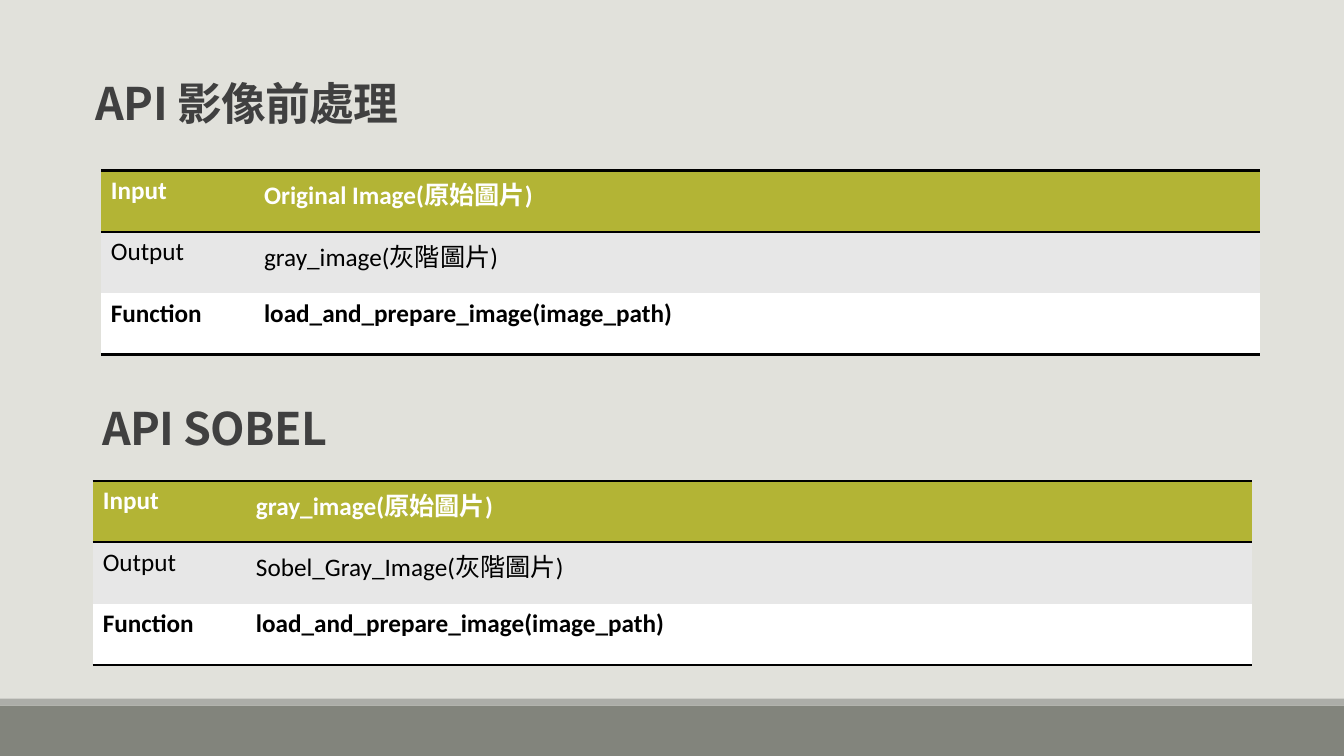
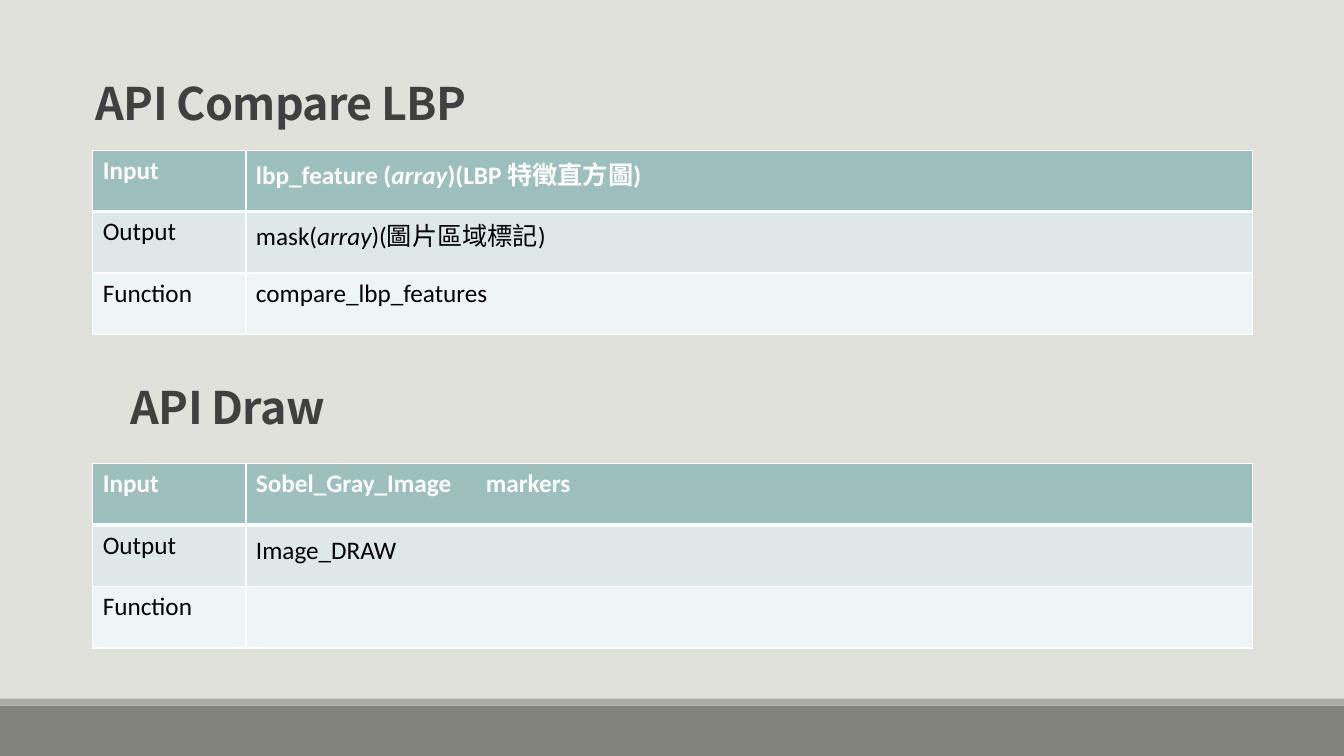
import lxml.etree
import pptx
import pptx.dml.color
import pptx.enum.shapes
import pptx.enum.text
import pptx.oxml.ns
import pptx.util

COLOURS = {
    "background": "E1E1DB", "band": "82847C", "band edge": "ACADA8",
    "heading": "404040", "black": "000000", "white": "FFFFFF",
    "olive": "B3B435", "grey": "E7E7E7",
    "teal": "9DBFBE", "pale teal": "DFE8E8", "paler teal": "EFF4F4",
}
HEADING = dict(size=32, font="Noto Sans CJK SC", colour="heading", bold=True,
               line_spacing=0.85, tracking=-50, anchor=pptx.enum.text.MSO_ANCHOR.BOTTOM)
LABELS = ["Input", "Output", "Function"]
LABEL_COLUMN, VALUE_COLUMN, TABLE_ROW = 11.4, 74.87, 8.13  # percent of the slide
TABLE_WIDTH = LABEL_COLUMN + VALUE_COLUMN

# Rules are (colour, points): row_rules run from the top edge to the bottom edge.
OLIVE_STYLE = dict(
    fills=["olive", "grey", "white"], bold_rows=[0, 2], side_rule=None,
    row_rules=[("black", 2), ("black", 2), None, ("black", 2)])
TEAL_STYLE = dict(
    fills=["teal", "pale teal", "paler teal"], bold_rows=[0], side_rule=("white", 1),
    row_rules=[("white", 1), ("white", 3), ("white", 1), ("white", 1)])

# Boxes are left, top, width, height in percent of the slide.
TITLE_BOX = (6.38, 7.2, TABLE_WIDTH, 10.67)
SLIDES = [
    (OLIVE_STYLE, [
        ("API 影像前處理", TITLE_BOX, (7.5, 22.53),
         ["Original Image(原始圖片)", "gray_image(灰階圖片)",
          "load_and_prepare_image(image_path)"]),
        ("API SOBEL", (6.9, 49.73, 22.13, 11.07), (6.9, 63.6),
         ["gray_image(原始圖片)", "Sobel_Gray_Image(灰階圖片)",
          "load_and_prepare_image(image_path)"]),
    ]),
    (TEAL_STYLE, [
        ("API Compare LBP", TITLE_BOX, (6.9, 19.87),
         ["lbp_feature (*array*)(LBP 特徵直方圖)", "mask(*array*)(圖片區域標記)",
          "compare_lbp_features"]),
        ("API Draw", (9, 47.73, 18.98, 10.27), (6.9, 61.33),
         ["Sobel_Gray_Image\tmarkers", "Image_DRAW　", ""]),
    ]),
]

deck = pptx.Presentation()
deck.slide_width = pptx.util.Inches(13.33)
deck.slide_height = pptx.util.Inches(7.5)


def place(left, top, width, height):
    """Turn percentages of the slide into lengths."""
    return [round(share * side / 100) for share, side in
            zip((left, top, width, height), (deck.slide_width, deck.slide_height) * 2)]


def write(frame, text, size=18, font="Calibri", colour="black", bold=False,
          line_spacing=None, tracking=None, anchor=pptx.enum.text.MSO_ANCHOR.TOP,
          tab_stop=None):
    """Write one paragraph; text between asterisks is italic."""
    frame.word_wrap = True
    frame.vertical_anchor = anchor
    paragraph = frame.paragraphs[0]
    paragraph.alignment = pptx.enum.text.PP_ALIGN.LEFT
    paragraph.line_spacing = line_spacing
    paragraph.font.size = pptx.util.Pt(size)
    if tab_stop:
        stops = lxml.etree.SubElement(paragraph._p.get_or_add_pPr(),
                                      pptx.oxml.ns.qn("a:tabLst"))
        paragraph._p.pPr.insert(0, stops)
        lxml.etree.SubElement(stops, pptx.oxml.ns.qn("a:tab"),
                              pos=str(pptx.util.Inches(tab_stop)), algn="l")
    for index, part in enumerate(text.split("*")):
        if not part:
            continue
        run = paragraph.add_run()
        run.text = part
        run.font.size = pptx.util.Pt(size)
        run.font.name = font
        run.font.bold = bold
        run.font.italic = index % 2 == 1
        run.font.color.rgb = pptx.dml.color.RGBColor.from_string(COLOURS[colour])
        properties = run._r.get_or_add_rPr()
        if tracking:
            properties.set("spc", str(tracking))
        if font != "Calibri":
            lxml.etree.SubElement(properties, pptx.oxml.ns.qn("a:ea"), typeface=font)


# The background and the bands at the foot belong to the layout.
layout = deck.slide_layouts.get_by_name("Title Only")
layout.background.fill.solid()
layout.background.fill.fore_color.rgb = pptx.dml.color.RGBColor.from_string(
    COLOURS["background"])
slides = [deck.slides.add_slide(layout) for _ in SLIDES]
for colour, top, height in [("band", 93.33, 6.67), ("band edge", 92.4, 0.93)]:
    band = slides[0].shapes.add_shape(pptx.enum.shapes.MSO_SHAPE.RECTANGLE,
                                      *place(0, top, 100, height))
    band.shadow.inherit = False
    band.fill.solid()
    band.fill.fore_color.rgb = pptx.dml.color.RGBColor.from_string(COLOURS[colour])
    band.line.fill.background()
    layout.shapes.element.append(band.element)

for slide, (style, sections) in zip(slides, SLIDES):
    for number, (name, heading_box, corner, values) in enumerate(sections):
        if number == 0:
            heading = slide.shapes.title
            heading.left, heading.top, heading.width, heading.height = place(*heading_box)
        else:
            heading = slide.shapes.add_textbox(*place(*heading_box))
        heading.text_frame.auto_size = pptx.enum.text.MSO_AUTO_SIZE.NONE
        write(heading.text_frame, name, **HEADING)

        interface = slide.shapes.add_table(
            3, 2, *place(*corner, TABLE_WIDTH, 3 * TABLE_ROW)).table
        interface.horz_banding = False
        for column, share in zip(interface.columns, (LABEL_COLUMN, VALUE_COLUMN)):
            column.width = round(deck.slide_width * share / 100)

        for row, texts in enumerate(zip(LABELS, values)):
            for column, text in enumerate(texts):
                cell = interface.cell(row, column)
                cell.fill.solid()
                cell.fill.fore_color.rgb = pptx.dml.color.RGBColor.from_string(
                    COLOURS[style["fills"][row]])
                write(cell.text_frame, text, bold=row in style["bold_rows"],
                      colour="white" if row == 0 else "black",
                      tab_stop=2.28 if "\t" in text else None)
                rules = [("a:lnL", style["side_rule"]), ("a:lnR", style["side_rule"]),
                         ("a:lnT", style["row_rules"][row]),
                         ("a:lnB", style["row_rules"][row + 1])]
                for position, (edge, rule) in enumerate(rules):
                    border = lxml.etree.Element(pptx.oxml.ns.qn(edge))
                    cell._tc.get_or_add_tcPr().insert(position, border)
                    if rule is None:
                        border.set("w", "0")
                        lxml.etree.SubElement(border, pptx.oxml.ns.qn("a:noFill"))
                        continue
                    border.set("w", str(pptx.util.Pt(rule[1])))
                    fill = lxml.etree.SubElement(border, pptx.oxml.ns.qn("a:solidFill"))
                    lxml.etree.SubElement(fill, pptx.oxml.ns.qn("a:srgbClr"),
                                          val=COLOURS[rule[0]])

deck.save("out.pptx")
